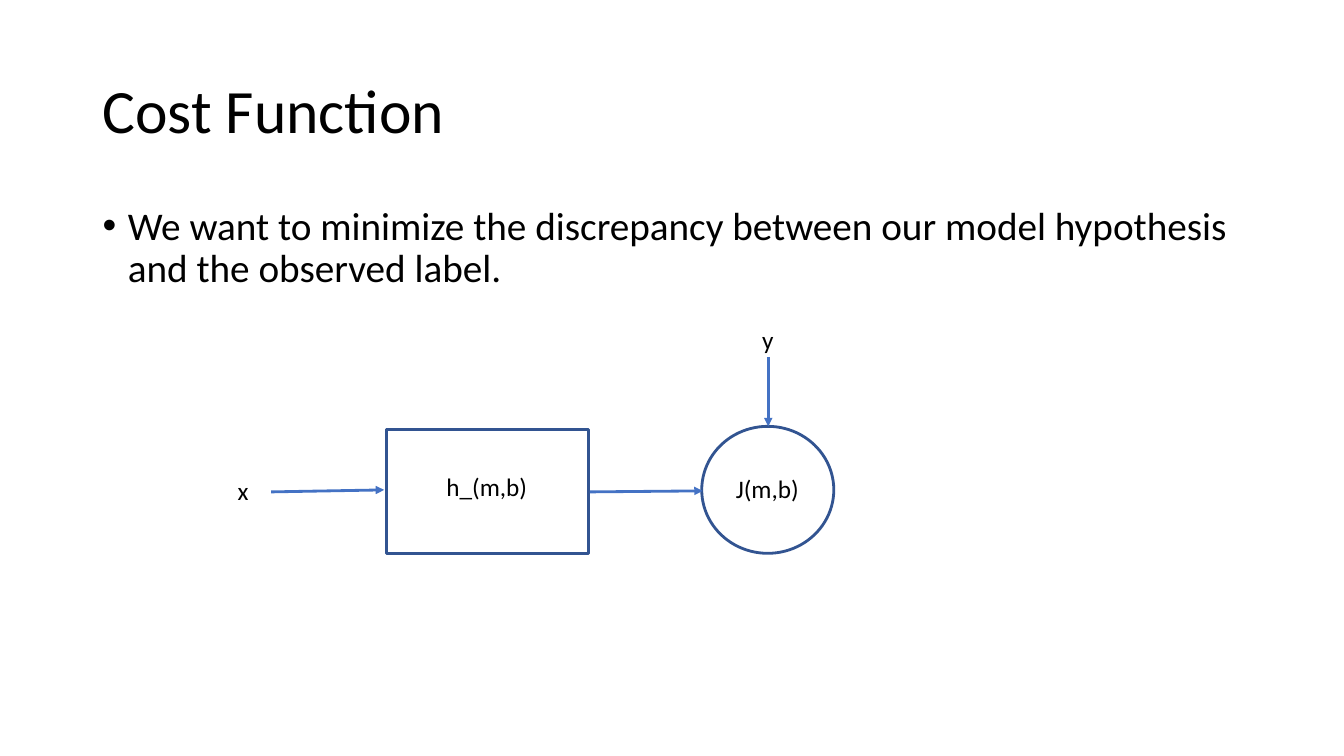
from lxml.etree import SubElement
from pptx import Presentation
from pptx.dml.color import RGBColor
from pptx.enum.shapes import MSO_CONNECTOR, MSO_SHAPE
from pptx.enum.text import MSO_ANCHOR
from pptx.oxml.ns import qn
from pptx.util import Inches, Pt

BLACK = RGBColor(0x00, 0x00, 0x00)
OUTLINE_BLUE = RGBColor(0x32, 0x54, 0x91)
ARROW_BLUE = RGBColor(0x44, 0x72, 0xC4)
FONT = "Calibri"
LINE_WIDTH = Pt(2)

# Content: boxes are left, top, width, height in inches
TITLE = "Cost Function"
BULLET = ("We want to minimize the discrepancy between our model "
          "hypothesis and the observed label.")
TITLE_BOX = (0.92, 0.4, 11.5, 1.45)
BODY_BOX = (0.92, 2, 11.5, 4.76)
NODES = [
    (MSO_SHAPE.RECTANGLE, (3.83, 4.26, 2.01, 1.23)),
    (MSO_SHAPE.OVAL, (6.96, 4.23, 1.31, 1.26)),
]
ARROWS = [  # start x, start y, end x, end y
    (2.69, 4.88, 3.81, 4.86),
    (5.85, 4.88, 6.97, 4.87),
    (7.62, 3.54, 7.62, 4.23),
]
LABELS = [
    ("h_(m,b)", (4.33, 4.63, 1.06, 0.4)),
    ("x", (2.26, 4.67, 0.33, 0.4)),
    ("y", (7.46, 3.17, 0.33, 0.4)),
    ("J(m,b)", (7.2, 4.65, 1.06, 0.4)),
]


def lengths(values):
    return [Inches(value) for value in values]


def add_text(slide, text, box, size, line_spacing=1.0,
             anchor=MSO_ANCHOR.TOP, bullet=False):
    frame = slide.shapes.add_textbox(*lengths(box)).text_frame
    frame.word_wrap = True
    frame.vertical_anchor = anchor
    paragraph = frame.paragraphs[0]
    paragraph.line_spacing = line_spacing
    if bullet:
        properties = paragraph._p.get_or_add_pPr()
        properties.set("marL", str(Inches(0.25)))
        properties.set("indent", str(-Inches(0.25)))
        SubElement(properties, qn("a:buFont"), typeface="Arial")
        SubElement(properties, qn("a:buChar"), char="•")
    run = paragraph.add_run()
    run.text = text
    run.font.name = FONT
    run.font.size = Pt(size)
    run.font.color.rgb = BLACK


def add_node(slide, kind, box):
    shape = slide.shapes.add_shape(kind, *lengths(box))
    shape.shadow.inherit = False
    shape.fill.background()
    shape.line.color.rgb = OUTLINE_BLUE
    shape.line.width = LINE_WIDTH


def add_arrow(slide, ends):
    arrow = slide.shapes.add_connector(MSO_CONNECTOR.STRAIGHT, *lengths(ends))
    arrow.line.color.rgb = ARROW_BLUE
    arrow.line.width = LINE_WIDTH
    SubElement(arrow.line._get_or_add_ln(), qn("a:tailEnd"), type="triangle")
    SubElement(arrow._element.spPr, qn("a:effectLst"))


def main():
    presentation = Presentation()
    presentation.slide_width = Inches(13.33)
    presentation.slide_height = Inches(7.5)
    slide = presentation.slides.add_slide(presentation.slide_layouts[6])

    # Heading and bullet
    add_text(slide, TITLE, TITLE_BOX, 44, 0.9, MSO_ANCHOR.MIDDLE)
    add_text(slide, BULLET, BODY_BOX, 28, 0.9, bullet=True)

    # Flow diagram
    for kind, box in NODES:
        add_node(slide, kind, box)
    for ends in ARROWS:
        add_arrow(slide, ends)
    for text, box in LABELS:
        add_text(slide, text, box, 18)

    presentation.save("out.pptx")


if __name__ == "__main__":
    main()
